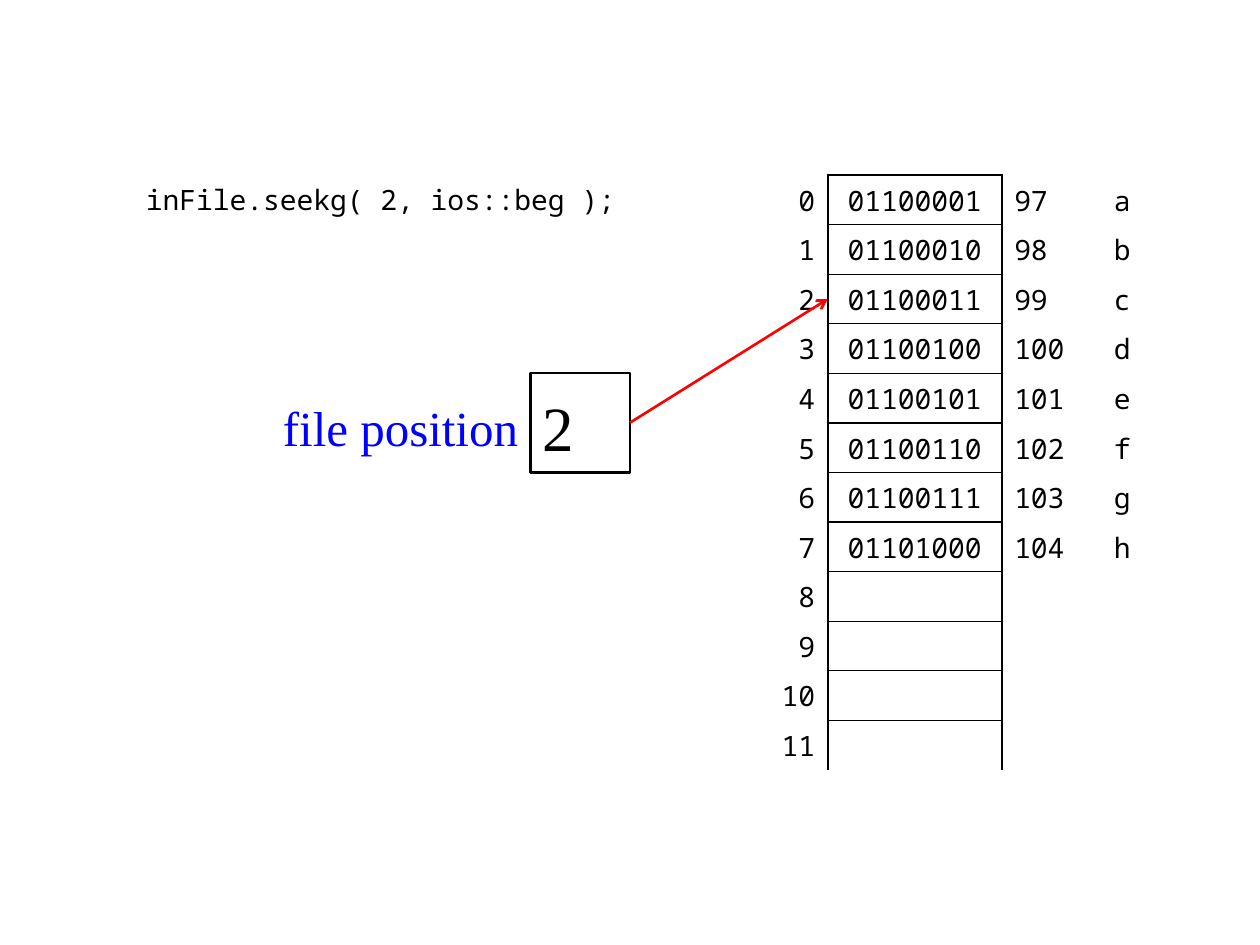
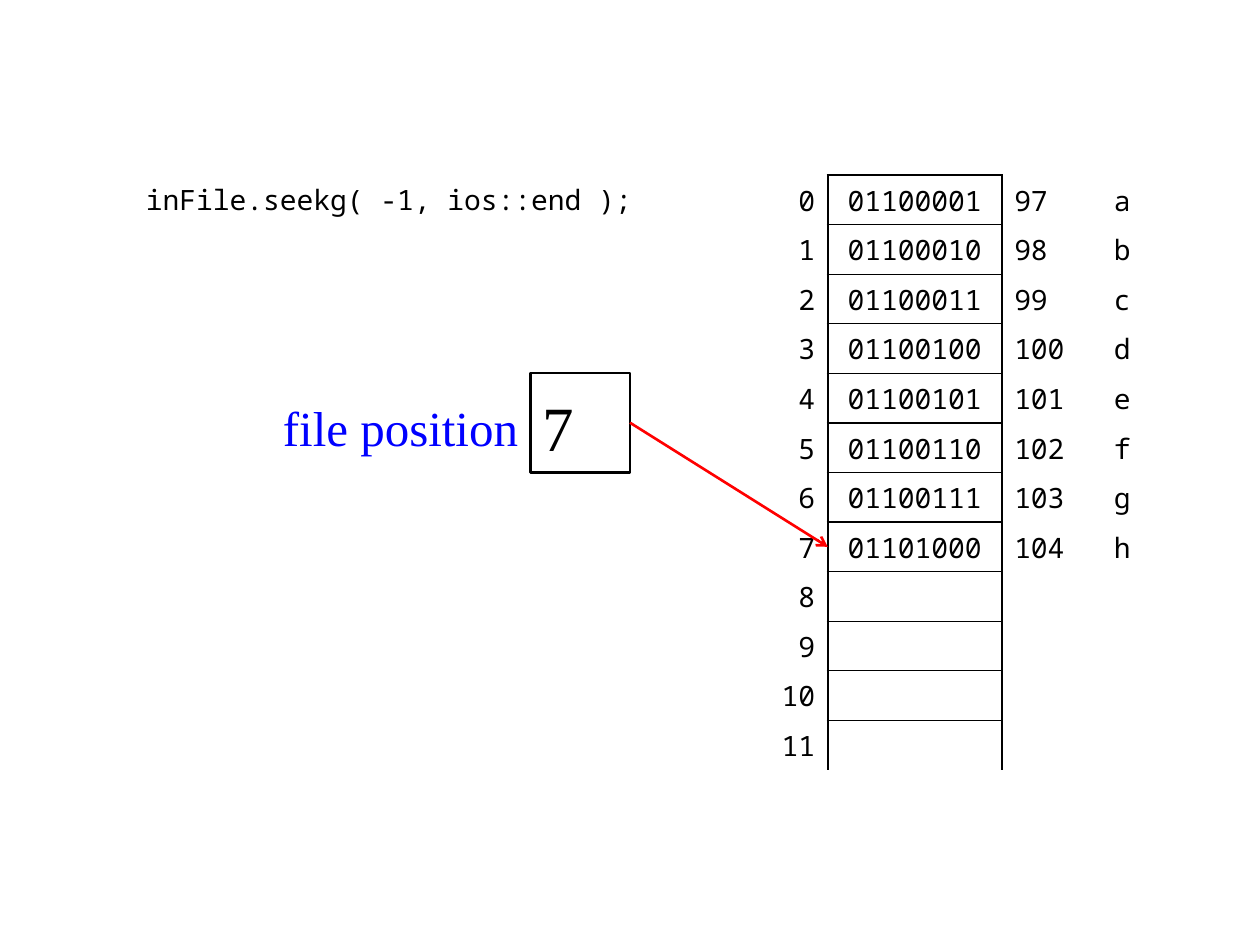
import pptx
import pptx.dml.color
import pptx.enum.shapes
import pptx.enum.text
import pptx.oxml.ns
import pptx.util
from lxml import etree

Inches = pptx.util.Inches
Pt = pptx.util.Pt
ALIGN = pptx.enum.text.PP_ALIGN
MIDDLE = pptx.enum.text.MSO_ANCHOR.MIDDLE
qn = pptx.oxml.ns.qn

COLORS = {"ink": "000000", "label": "0000FF", "arrow": "FF0000", "paper": "FFFFFF"}
MONO = "Noto Sans Mono"
SERIF = "Times New Roman"

MEMORY_TOP = 1.39
MEMORY_HEIGHT = 4.72
MEMORY_LEFT = 5.98
MEMORY_WIDTHS = [0.59, 1.38, 0.79, 0.39]
MEMORY_ALIGNS = [ALIGN.RIGHT, ALIGN.CENTER, ALIGN.LEFT, ALIGN.LEFT]
ROW_COUNT = 12
ROW_HEIGHT = MEMORY_HEIGHT / ROW_COUNT
LETTERS = "abcdefgh"
BOX_LEFT, BOX_TOP, BOX_SIZE = 4.21, 2.96, 0.79


def color(name):
    return pptx.dml.color.RGBColor.from_string(COLORS[name])


def memory_row(address):
    if address >= len(LETTERS):
        return [str(address), "", "", ""]
    letter = LETTERS[address]
    return [str(address), f"{ord(letter):08b}", str(ord(letter)), letter]


def cell_borders(row, col):
    borders = dict.fromkeys("LRTB", 0)
    if col == 0:
        borders["R"] = 1.5
    elif col == 1:
        borders["L"] = borders["R"] = 1.5
        borders["T"] = 1.5 if row == 0 else 0.75
        borders["B"] = 0 if row == ROW_COUNT - 1 else 0.75
    elif col == 2:
        borders["L"] = 1.5
    return borders


class Deck:
    def __init__(self):
        self.prs = pptx.Presentation()
        self.prs.slide_width = Inches(10)
        self.prs.slide_height = Inches(7.5)
        self.s = None

    def new_slide(self):
        self.s = self.prs.slides.add_slide(self.prs.slide_layouts[6])

    def fill_text(self, tf, text, size, font, tint="ink", align=ALIGN.LEFT):
        p = tf.paragraphs[0]
        p.text = text
        p.alignment = align
        p.font.size = Pt(size)
        for r in p.runs:
            r.font.size = Pt(size)
            r.font.name = font
            r.font.color.rgb = color(tint)

    def frame(self, tf, top=0.05, bottom=0.05):
        tf.word_wrap = True
        tf.vertical_anchor = MIDDLE
        tf.margin_left = tf.margin_right = Inches(0.1)
        tf.margin_top = Inches(top)
        tf.margin_bottom = Inches(bottom)

    def text(self, left, top, width, height, text, size, font, tint="ink",
             align=ALIGN.LEFT, inset_top=0.05):
        sp = self.s.shapes.add_textbox(Inches(left), Inches(top), Inches(width), Inches(height))
        self.frame(sp.text_frame, inset_top)
        self.fill_text(sp.text_frame, text, size, font, tint, align)

    def box(self, left, top, size, text):
        sp = self.s.shapes.add_shape(pptx.enum.shapes.MSO_SHAPE.RECTANGLE,
                                     Inches(left), Inches(top), Inches(size), Inches(size))
        sp.shadow.inherit = False
        sp.fill.background()
        sp.line.color.rgb = color("ink")
        sp.line.width = Pt(1.5)
        self.frame(sp.text_frame, 0.07, 0.02)
        self.fill_text(sp.text_frame, text, 36, SERIF)

    def arrow(self, x1, y1, x2, y2):
        line = self.s.shapes.add_connector(pptx.enum.shapes.MSO_CONNECTOR.STRAIGHT,
                                           Inches(x1), Inches(y1), Inches(x2), Inches(y2))
        line.line.color.rgb = color("arrow")
        line.line.width = Pt(1.5)
        ln = line._element.spPr.find(qn("a:ln"))
        etree.SubElement(ln, qn("a:tailEnd"), type="arrow")
        etree.SubElement(line._element.spPr, qn("a:effectLst"))

    def border(self, cell, side, width):
        ln = etree.SubElement(cell._tc.get_or_add_tcPr(), qn(f"a:ln{side}"))
        if width:
            ln.set("w", str(Pt(width)))
            fill = etree.SubElement(ln, qn("a:solidFill"))
            etree.SubElement(fill, qn("a:srgbClr"), val=COLORS["ink"])
        else:
            etree.SubElement(ln, qn("a:noFill"))

    def memory_table(self):
        table = self.s.shapes.add_table(
            ROW_COUNT, len(MEMORY_WIDTHS), Inches(MEMORY_LEFT), Inches(MEMORY_TOP),
            Inches(sum(MEMORY_WIDTHS)), Inches(MEMORY_HEIGHT)).table
        table.first_row = table.horz_banding = False
        for column, width in zip(table.columns, MEMORY_WIDTHS):
            column.width = Inches(width)
        for row in range(ROW_COUNT):
            table.rows[row].height = Inches(ROW_HEIGHT)
            for col, value in enumerate(memory_row(row)):
                cell = table.cell(row, col)
                for side, width in cell_borders(row, col).items():
                    self.border(cell, side, width)
                cell.fill.solid()
                cell.fill.fore_color.rgb = color("paper")
                cell.vertical_anchor = MIDDLE
                cell.margin_left = cell.margin_right = Inches(0.1)
                cell.margin_top = cell.margin_bottom = Inches(0.05)
                self.fill_text(cell.text_frame, value, 16, MONO, align=MEMORY_ALIGNS[col])

    def seek_slide(self, code, position):
        self.new_slide()
        self.text(1.06, MEMORY_TOP, 4.13, 0.39, code, 16, MONO)
        self.text(0.87, BOX_TOP, BOX_LEFT - 0.87, BOX_SIZE, "file position", 28, SERIF,
                  "label", ALIGN.RIGHT, inset_top=0.11)
        self.memory_table()
        self.box(BOX_LEFT, BOX_TOP, BOX_SIZE, str(position))
        self.arrow(BOX_LEFT + BOX_SIZE, BOX_TOP + BOX_SIZE / 2,
                   MEMORY_LEFT + MEMORY_WIDTHS[0],
                   MEMORY_TOP + (position + 0.5) * ROW_HEIGHT)


def main():
    deck = Deck()
    deck.seek_slide("inFile.seekg( 2, ios::beg );", 2)
    deck.seek_slide("inFile.seekg( -1, ios::end );", 7)
    deck.prs.save("out.pptx")


if __name__ == "__main__":
    main()
